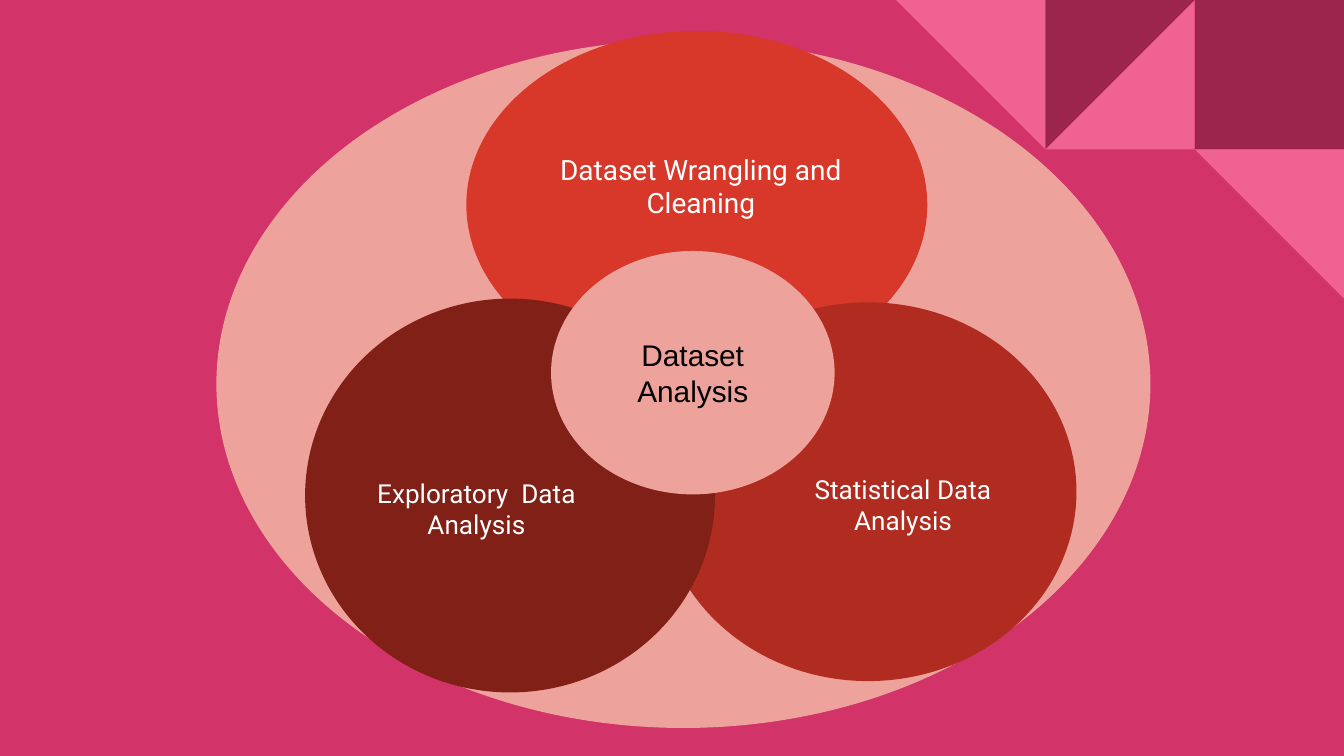
import pptx
import pptx.util
import pptx.dml.color
import pptx.enum.shapes
import pptx.enum.text

SHAPES = pptx.enum.shapes.MSO_SHAPE


def color(value):
    return pptx.dml.color.RGBColor.from_string(value)


def write(shape, text, size=14, font="Roboto", fill="FFFFFF"):
    frame = shape.text_frame
    frame.word_wrap = True
    frame.vertical_anchor = pptx.enum.text.MSO_ANCHOR.MIDDLE
    inset = pptx.util.Inches(0.1)
    frame.margin_left = frame.margin_right = inset
    frame.margin_top = frame.margin_bottom = inset
    paragraph = frame.paragraphs[0]
    paragraph.alignment = pptx.enum.text.PP_ALIGN.CENTER
    run = paragraph.add_run()
    run.text = text
    run.font.size = pptx.util.Pt(size)
    run.font.name = font
    run.font.color.rgb = color(fill)


class Deck:
    """Draws ovals, labels and corner tiles, with lengths in percent of the slide."""

    background = "D23369"
    tile_columns = 9

    def __init__(self):
        self.presentation = pptx.Presentation()
        self.width = pptx.util.Inches(10)
        self.height = self.width * 9 // 16
        self.presentation.slide_width = self.width
        self.presentation.slide_height = self.height
        self.slide = self.presentation.slides.add_slide(self.presentation.slide_layouts[6])
        fill = self.slide.background.fill
        fill.solid()
        fill.fore_color.rgb = color(self.background)

    def box(self, left, top, width, height):
        across, down = self.width / 100, self.height / 100
        return [round(n) for n in (left * across, top * down, width * across, height * down)]

    def shape(self, kind, box, fill, parent=None):
        shape = (parent or self.slide).shapes.add_shape(kind, *box)
        shape.shadow.inherit = False
        shape.fill.solid()
        shape.fill.fore_color.rgb = color(fill)
        shape.line.fill.background()
        return shape

    def tile(self, kind, column, row, rotation, fill):
        side = self.width // self.tile_columns
        shape = self.shape(kind, (column * side, row * side, side, side), fill)
        shape.rotation = rotation

    def oval(self, area, fill, parent=None):
        return self.shape(SHAPES.OVAL, self.box(*area), fill, parent)

    def labelled_oval(self, area, fill, label_area, text, size):
        group = self.slide.shapes.add_group_shape()
        self.oval(area, fill, group)
        write(group.shapes.add_textbox(*self.box(*label_area)), text, size=size)


PINK, PLUM, ROSE = "F06292", "9C254D", "EDA29B"

deck = Deck()
TILES = [
    (SHAPES.RECTANGLE, 8, 0, 0, PLUM),
    (SHAPES.RIGHT_TRIANGLE, 7, 0, 270, PINK),
    (SHAPES.RIGHT_TRIANGLE, 7, 0, 90, PLUM),
    (SHAPES.RIGHT_TRIANGLE, 6, 0, 180, PINK),
    (SHAPES.RIGHT_TRIANGLE, 8, 1, 180, PINK),
]
for tile in TILES:
    deck.tile(*tile)

deck.oval((16.1, 5.3, 69.5, 91), ROSE)

STAGES = [
    ((34.7, 4.1, 34.3, 46), "D83829", (40.3, 17.1, 23.7, 14.9),
     "Dataset Wrangling and Cleaning", 15),
    ((49.1, 40, 31, 50.1), "B02C20", (56.5, 58.5, 21.4, 16.4),
     "Statistical Data Analysis", 14),
    ((22.7, 39.5, 30.5, 52.1), "802017", (24.9, 58.8, 21.1, 16.9),
     "Exploratory  Data Analysis", 14),
]
for stage in STAGES:
    deck.labelled_oval(*stage)

center = deck.oval((41, 33.2, 21.1, 32.2), ROSE)
write(center, "Dataset Analysis", size=16, font="Arial", fill="000000")

deck.presentation.save("out.pptx")
